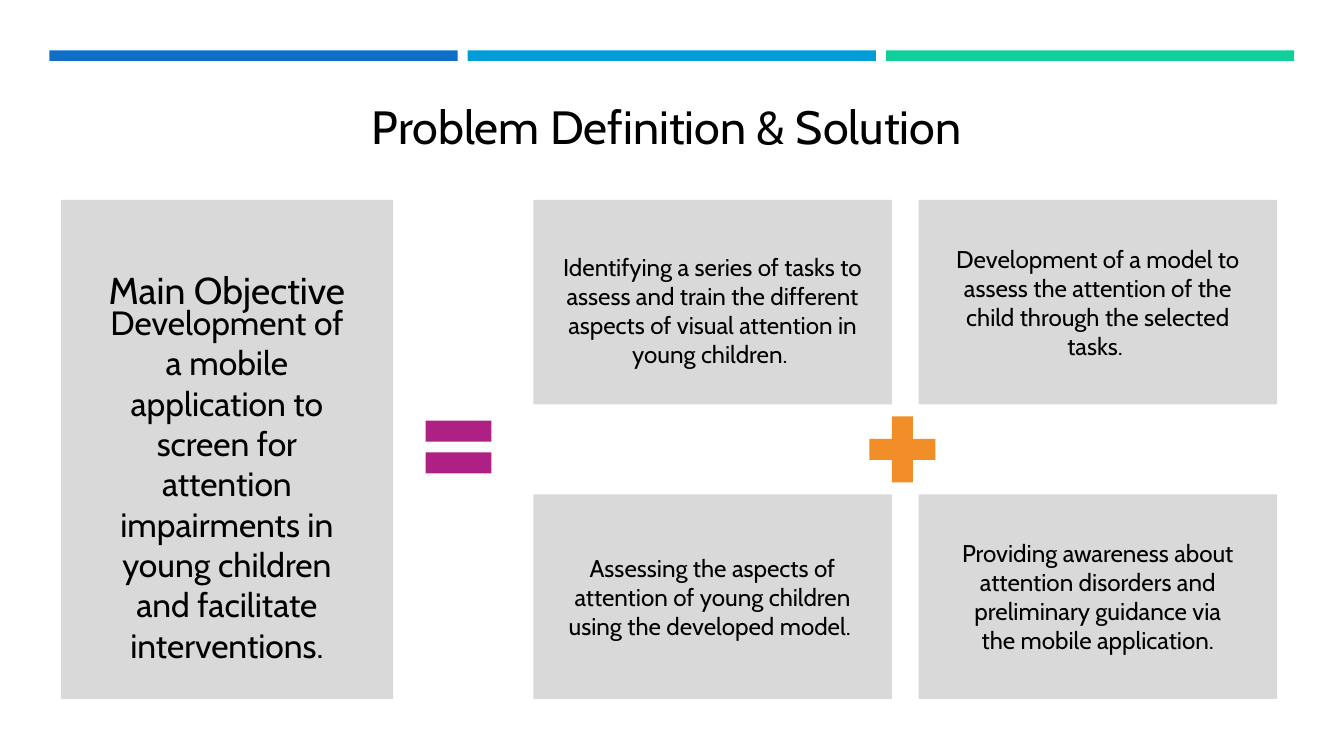
from dataclasses import dataclass

from pptx import Presentation
from pptx.dml.color import RGBColor
from pptx.enum import shapes, text
from pptx.util import Pt

KIND = shapes.MSO_SHAPE


@dataclass(frozen=True)
class Theme:
    font: str = "Cabin"
    ink: str = "000000"
    card: str = "D9D9D9"
    bars: tuple = ("0F6FC6", "009DD9", "10CF9B")
    plus: str = "F28E27"
    equal: str = "AE2084"
    title: float = 33.3
    head: float = 26.7
    body: float = 24
    note: float = 17.3
    inset: float = 9.36


THEME = Theme()

# Wording, side margin and downward shift, row by row
TASKS = (
    ("Identifying a series of tasks to assess and train the different "
     "aspects of visual attention in young children. ", 0, 6),
    ("Development of a model to assess the attention of the child "
     "through the selected tasks. ", 17, 0),
    ("Assessing the aspects of attention of young children using "
     "the developed model. ", 12, 0),
    ("Providing awareness about attention disorders and preliminary "
     "guidance via the mobile application.", 17, 0),
)


def block(slide, kind, box, color, adjust=()):
    """Add a plain filled shape."""
    shape = slide.shapes.add_shape(kind, *map(Pt, box))
    for i, value in enumerate(adjust):
        shape.adjustments[i] = value
    shape.shadow.inherit = False
    shape.fill.solid()
    shape.fill.fore_color.rgb = RGBColor.from_string(color)
    shape.line.fill.background()


def write(frame, words, size, before=0):
    """Fill a text frame with one centred paragraph."""
    frame.text = words
    frame.word_wrap = True
    frame.auto_size = text.MSO_AUTO_SIZE.NONE
    frame.vertical_anchor = text.MSO_ANCHOR.MIDDLE
    frame.margin_left = frame.margin_right = Pt(THEME.inset)
    frame.margin_top = frame.margin_bottom = Pt(THEME.inset)
    para = frame.paragraphs[0]
    para.alignment = text.PP_ALIGN.CENTER
    para.space_before = Pt(before)
    font = para.runs[0].font
    font.name = THEME.font
    font.size = Pt(size)
    font.color.rgb = RGBColor.from_string(THEME.ink)


def label(slide, box, words, size, before=0):
    area = slide.shapes.add_textbox(*map(Pt, box))
    write(area.text_frame, words, size, before)


def header(slide, box):
    """Place the three bars and the title below them."""
    left, top, width, height = box
    gap = 7.2
    wide = (width - 2 * gap) / 3
    for i, color in enumerate(THEME.bars):
        bar = (left + i * (wide + gap), top, wide, 7.5)
        block(slide, KIND.RECTANGLE, bar, color)
    title = slide.shapes.title
    title.left, title.top = Pt(left + 39.6), Pt(top + 33)
    title.width, title.height = Pt(width - 78.5), Pt(height - 33)
    write(title.text_frame, "Problem Definition & Solution ", THEME.title)


def goal(slide, box):
    """Place the main objective panel."""
    left, top, width, height = box
    block(slide, KIND.ROUNDED_RECTANGLE, box, THEME.card, (0,))
    label(slide, (left, top + 45.5, width, 36.5), "Main Objective", THEME.head)
    label(slide, (left + 19.2, top + 87, width - 38.4, 231),
          "Development of a mobile application to screen for attention "
          "impairments in young children and facilitate interventions.",
          THEME.body, 8)


def tasks(slide, box):
    """Place the two by two cards with a plus between them."""
    left, top, width, height = box
    wide, high = 256, 146
    for i, (words, side, drop) in enumerate(TASKS):
        row, col = divmod(i, 2)
        x = left + col * (width - wide)
        y = top + row * (height - high)
        block(slide, KIND.ROUNDED_RECTANGLE, (x, y, wide, high),
              THEME.card, (0,))
        label(slide, (x + side, y + drop, wide - 2 * side, high),
              words, THEME.note)
    sign = 64
    spot = (left + (width - sign) / 2 - 2, top + (height - sign) / 2,
            sign, sign)
    block(slide, KIND.MATH_PLUS, spot, THEME.plus, (0.235,))


def main():
    deck = Presentation()
    deck.slide_width, deck.slide_height = Pt(960), Pt(540)
    slide = deck.slides.add_slide(deck.slide_layouts[5])
    header(slide, (35.3, 36, 889.2, 75.5))
    goal(slide, (43.4, 142.8, 237.4, 356.4))
    block(slide, KIND.MATH_EQUAL, (295.5, 287.3, 64, 64), THEME.equal,
          (0.235, 0.118))
    tasks(slide, (381, 142.8, 531.2, 356.4))
    deck.save("out.pptx")


if __name__ == "__main__":
    main()
